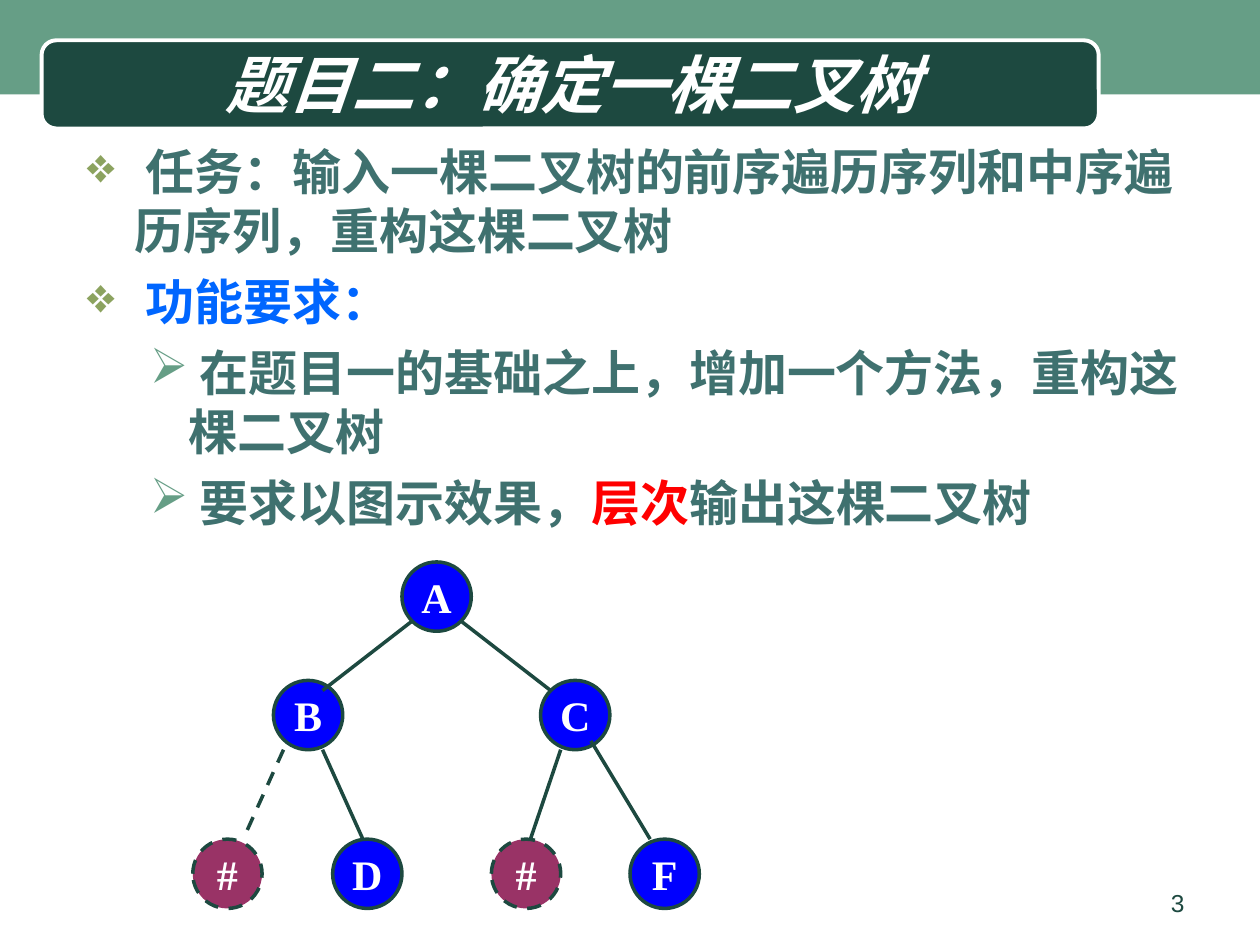
from lxml import etree
from pptx import Presentation
from pptx.dml.color import RGBColor
from pptx.enum import dml, shapes, text
from pptx.oxml import ns
from pptx.util import Inches, Pt

WHITE = RGBColor(0xFF, 0xFF, 0xFF)
GREEN = RGBColor(0x66, 0x9E, 0x86)
DARK_GREEN = RGBColor(0x1D, 0x49, 0x40)
OLIVE = RGBColor(0x8C, 0xA3, 0x5F)
TEAL = RGBColor(0x3F, 0x71, 0x6F)
BRIGHT_BLUE = RGBColor(0x00, 0x66, 0xFF)
RED = RGBColor(0xFF, 0x00, 0x00)
NODE_BLUE = RGBColor(0x00, 0x00, 0xFF)
NODE_PLUM = RGBColor(0x99, 0x33, 0x66)

CENTER = text.PP_ALIGN.CENTER
NODE_SIZE = 0.55

BULLETS = [
    (0, [(" 任务：输入一棵二叉树的前序遍历序列和中序遍历序列，重构这棵二叉树", TEAL)]),
    (0, [(" ", TEAL), ("功能要求：", BRIGHT_BLUE)]),
    (1, [(" 在题目一的基础之上，增加一个方法，重构这棵二叉树", TEAL)]),
    (1, [(" 要求以图示效果，", TEAL), ("层次", RED), ("输出这棵二叉树", TEAL)]),
]
LEVELS = [("❖", OLIVE, 0.38, -0.38), ("➢", GREEN, 0.81, -0.31)]

NODES = [
    ("A", 1.66, 0), ("B", 0.64, 0.94), ("C", 2.76, 0.94),
    ("#", 0, 2.2), ("D", 1.11, 2.2), ("#", 2.37, 2.2), ("F", 3.47, 2.2),
]
EDGES = [
    (1.74, 0.47, 1.03, 1.02, False), (2.13, 0.47, 2.84, 1.02, False),
    (0.72, 1.49, 0.4, 2.2, True), (1.03, 1.49, 1.35, 2.2, False),
    (2.92, 1.49, 2.68, 2.2, False), (3.16, 1.42, 3.63, 2.2, False),
]


def style_run(run, size, font_name, color, bold=False, italic=False):
    font = run.font
    font.size, font.name, font.bold, font.italic = Pt(size), font_name, bold, italic
    font.color.rgb = color
    east_asian = etree.SubElement(run._r.get_or_add_rPr(), ns.qn("a:ea"))
    east_asian.set("typeface", font_name)


def style_line(line, width, color, dashed=False):
    line.width = Pt(width)
    line.color.rgb = color
    if dashed:
        line.dash_style = dml.MSO_LINE.DASH


def add_shape(slide, kind, box, color):
    shape = slide.shapes.add_shape(kind, *map(Inches, box))
    shape.shadow.inherit = False
    shape.fill.solid()
    shape.fill.fore_color.rgb = color
    shape.line.fill.background()
    return shape


def add_label(slide, box, content, size, font_name, color, alignment, **style):
    label = slide.shapes.add_textbox(*map(Inches, box))
    frame = label.text_frame
    frame.word_wrap = True
    frame.text = content
    frame.paragraphs[0].alignment = alignment
    style_run(frame.paragraphs[0].runs[0], size, font_name, color, **style)
    return frame


def add_header(slide, left, top, width, height):
    add_shape(slide, shapes.MSO_SHAPE.RECTANGLE, (left, top, width, height), GREEN)
    banner_box = (left + 0.33, top + 0.32, 8.39, 0.7)
    banner = add_shape(slide, shapes.MSO_SHAPE.ROUNDED_RECTANGLE, banner_box, DARK_GREEN)
    style_line(banner.line, 2.25, WHITE)
    title = add_label(slide, (left + 0.5, top + 0.35, 8.08, 0.62), "题目二：确定一棵二叉树",
                      36, "Noto Sans CJK JP", WHITE, CENTER, bold=True, italic=True)
    title.vertical_anchor = text.MSO_ANCHOR.MIDDLE


def add_bullet(paragraph, level):
    character, color, margin, indent = LEVELS[level]
    paragraph.level = level
    properties = paragraph._p.get_or_add_pPr()
    properties.set("marL", str(Inches(margin)))
    properties.set("indent", str(Inches(indent)))
    bullet_color = etree.SubElement(properties, ns.qn("a:buClr"))
    etree.SubElement(bullet_color, ns.qn("a:srgbClr")).set("val", str(color))
    etree.SubElement(properties, ns.qn("a:buChar")).set("char", character)


def add_requirements(slide, left, top, width, height):
    body = slide.shapes.add_textbox(*map(Inches, (left, top, width, height)))
    frame = body.text_frame
    frame.word_wrap = True
    for index, (level, parts) in enumerate(BULLETS):
        paragraph = frame.add_paragraph() if index else frame.paragraphs[0]
        add_bullet(paragraph, level)
        paragraph.line_spacing = Pt(33.7)
        if index:
            paragraph.space_before = Pt(7)
        for content, color in parts:
            run = paragraph.add_run()
            run.text = content
            style_run(run, 28, "Noto Sans CJK SC", color, bold=True)


def add_edge(slide, start_x, start_y, end_x, end_y, dashed):
    ends = map(Inches, (start_x, start_y, end_x, end_y))
    edge = slide.shapes.add_connector(shapes.MSO_CONNECTOR.STRAIGHT, *ends)
    style_line(edge.line, 2, DARK_GREEN, dashed)
    etree.SubElement(edge._element.spPr, ns.qn("a:effectLst"))


def add_node(slide, left, top, name):
    empty = name == "#"
    node = add_shape(slide, shapes.MSO_SHAPE.OVAL, (left, top, NODE_SIZE, NODE_SIZE),
                     NODE_PLUM if empty else NODE_BLUE)
    style_line(node.line, 2, DARK_GREEN, empty)
    frame = node.text_frame
    frame.word_wrap = False
    frame.vertical_anchor = text.MSO_ANCHOR.MIDDLE
    frame.text = name
    frame.paragraphs[0].alignment = CENTER
    style_run(frame.paragraphs[0].runs[0], 24, "Times New Roman", WHITE, bold=True)


def add_tree(slide, left, top):
    for name, x, y in NODES:
        add_node(slide, left + x, top + y, name)
    for start_x, start_y, end_x, end_y, dashed in EDGES:
        add_edge(slide, left + start_x, top + start_y, left + end_x, top + end_y, dashed)


def main():
    presentation = Presentation()
    presentation.slide_width, presentation.slide_height = Inches(10), Inches(7.5)
    slide = presentation.slides.add_slide(presentation.slide_layouts[6])
    add_header(slide, 0, 0, 10, 0.75)
    add_requirements(slide, 0.59, 1.07, 8.98, 3.47)
    add_tree(slide, 1.53, 4.46)
    add_label(slide, (7.17, 7, 2.33, 0.35), "3", 14, "Arial", DARK_GREEN, text.PP_ALIGN.RIGHT)
    presentation.save("out.pptx")


if __name__ == "__main__":
    main()
